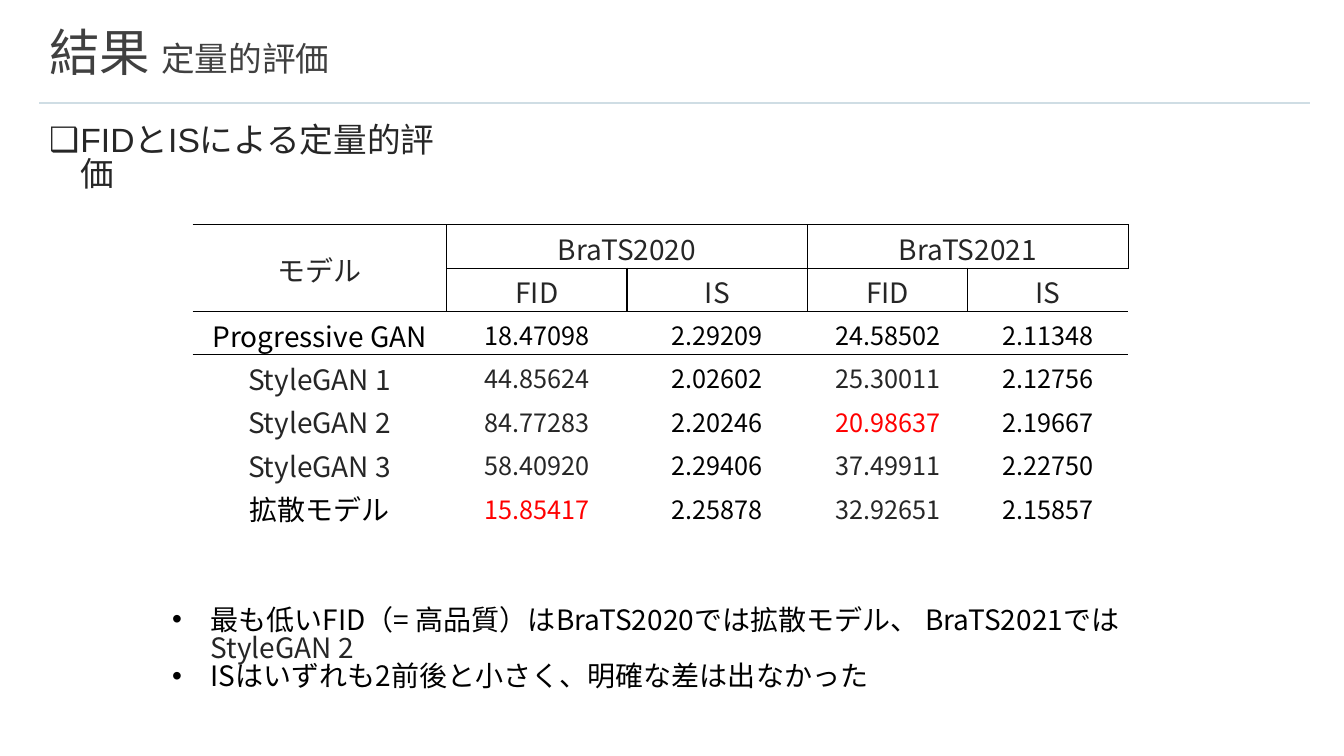
from dataclasses import dataclass
from typing import Optional

from lxml.etree import SubElement
from pptx import Presentation
from pptx.dml.color import RGBColor
from pptx.enum.shapes import MSO_CONNECTOR as Connector, MSO_SHAPE as Shape
from pptx.enum.text import MSO_ANCHOR as Anchor, MSO_AUTO_SIZE as AutoSize, PP_ALIGN as Align
from pptx.oxml.ns import qn
from pptx.util import Emu, Pt

PX = 9144
CJK = "Noto Sans CJK JP"
BLACK, DARK, TITLE, RED, WHITE, RULE = "000000", "262626", "404040", "FF0000", "FFFFFF", "CFDDE4"
NO_STYLE = "{2D5ABB26-0587-4C30-8999-92F81FD0307C}"


@dataclass(frozen=True)
class Span:
    text: str
    size: int
    color: str
    font: str = CJK


@dataclass(frozen=True)
class Para:
    spans: tuple[Span, ...]
    bullet: str = ""
    indent: int = 0


@dataclass(frozen=True)
class TextBox:
    left: int
    top: int
    width: int
    height: int
    paras: tuple[Para, ...]
    spacing: float
    wrap: bool = True
    fill: Optional[str] = None


@dataclass(frozen=True)
class Model:
    name: str
    scores: tuple[str, ...]
    name_color: str = DARK
    fid_color: str = DARK
    best: Optional[int] = None


TEXT_BOXES = (
    TextBox(39, 24, 305, 71,
            (Para((Span("結果 ", 36, TITLE), Span("定量的評価", 24, TITLE))),),
            spacing=0.88, wrap=False),
    TextBox(39, 120, 424, 50,
            (Para((Span("FIDとISによる定量的評価", 24, DARK, "Arial"),), "❑", 31),),
            spacing=0.84, fill=WHITE),
    TextBox(161, 598, 1069, 77,
            (Para((Span("最も低いFID（= 高品質）はBraTS2020では拡散モデル、 BraTS2021では", 20, BLACK),
                   Span("StyleGAN 2", 20, DARK)), "•", 38),
             Para((Span("ISはいずれも2前後と小さく、明確な差は出なかった", 20, BLACK),), "•", 38)),
            spacing=0.84),
)

MODELS = (
    Model("Progressive GAN", ("18.47098", "2.29209", "24.58502", "2.11348"), BLACK, BLACK),
    Model("StyleGAN 1", ("44.85624", "2.02602", "25.30011", "2.12756")),
    Model("StyleGAN 2", ("84.77283", "2.20246", "20.98637", "2.19667"), best=2),
    Model("StyleGAN 3", ("58.40920", "2.29406", "37.49911", "2.22750")),
    Model("拡散モデル", ("15.85417", "2.25878", "32.92651", "2.15857"), BLACK, best=0),
)
COLUMN_WIDTHS = (252, 179, 179, 159, 159)
HEADER_ROWS = 2
ROW_HEIGHT = 43


def px(length: int) -> Emu:
    return Emu(length * PX)


def rgb(value: str) -> RGBColor:
    return RGBColor.from_string(value)


def add_span(para, text: str, *, size: int, color: str, font: str = CJK) -> None:
    run = para.add_run()
    run.text = text
    run.font.size = Pt(size)
    run.font.name = font
    run.font.color.rgb = rgb(color)
    SubElement(run.font._element, qn("a:ea"), typeface=CJK)


def add_bullet(para, bullet: str, indent: int) -> None:
    properties = para._p.get_or_add_pPr()
    properties.set("marL", str(px(indent)))
    properties.set("indent", str(-px(indent)))
    SubElement(properties, qn("a:buFont"), typeface="Arial")
    SubElement(properties, qn("a:buChar"), char=bullet)


def add_text_box(page, spec_box: TextBox) -> None:
    area = [px(n) for n in (spec_box.left, spec_box.top, spec_box.width, spec_box.height)]
    if spec_box.fill:
        box = page.shapes.add_shape(Shape.RECTANGLE, *area)
        box.shadow.inherit = False
        box.fill.solid()
        box.fill.fore_color.rgb = rgb(spec_box.fill)
        box.line.fill.background()
    else:
        box = page.shapes.add_textbox(*area)
    frame = box.text_frame
    frame.word_wrap = spec_box.wrap
    frame.auto_size = AutoSize.SHAPE_TO_FIT_TEXT
    frame.vertical_anchor = Anchor.TOP
    for index, item in enumerate(spec_box.paras):
        para = frame.add_paragraph() if index else frame.paragraphs[0]
        para.alignment = Align.LEFT
        para.line_spacing = spec_box.spacing
        if item.bullet:
            add_bullet(para, item.bullet, item.indent)
        for span in item.spans:
            add_span(para, span.text, size=span.size, color=span.color, font=span.font)


def add_rule(page) -> None:
    rule = page.shapes.add_connector(Connector.STRAIGHT, px(39), px(102), px(1299), px(102))
    rule.line.color.rgb = rgb(RULE)
    rule.line.width = Pt(1.5)
    SubElement(rule._element.spPr, qn("a:effectLst"))


def border_sides(row: int, column: int) -> list[str]:
    if row > HEADER_ROWS:
        return []
    if row == HEADER_ROWS:
        return ["T"]
    left = ["L"] if column > 0 else []
    right = ["R"] if column < len(COLUMN_WIDTHS) - 1 else []
    return left + right + ["T", "B"]


def format_cell(cell, sides: list[str]) -> None:
    cell.margin_top, cell.margin_bottom = px(3), 0
    cell.margin_left = cell.margin_right = px(3)
    cell.vertical_anchor = Anchor.MIDDLE
    properties = cell._tc.get_or_add_tcPr()
    for side in sides:
        line = SubElement(properties, qn(f"a:ln{side}"), w=str(Pt(1)))
        fill = SubElement(line, qn("a:solidFill"))
        SubElement(fill, qn("a:srgbClr"), val=BLACK)
    cell.fill.background()


def set_cell(cell, text: str, *, size: int = 20, color: str = DARK) -> None:
    para = cell.text_frame.paragraphs[0]
    para.alignment = Align.CENTER
    add_span(para, text, size=size, color=color)


def add_score_table(page) -> None:
    row_count = HEADER_ROWS + len(MODELS)
    frame = page.shapes.add_table(row_count, len(COLUMN_WIDTHS), px(191), px(223),
                                  px(sum(COLUMN_WIDTHS)), px(ROW_HEIGHT * row_count))
    table = frame.table
    table.first_row = table.horz_banding = False
    table._tbl.tblPr.find(qn("a:tableStyleId")).text = NO_STYLE
    for column, width in zip(table.columns, COLUMN_WIDTHS):
        column.width = px(width)
    for row_index, row in enumerate(table.rows):
        row.height = px(ROW_HEIGHT)
        for column_index, cell in enumerate(row.cells):
            format_cell(cell, border_sides(row_index, column_index))

    table.cell(0, 0).merge(table.cell(1, 0))
    set_cell(table.cell(0, 0), "モデル")
    for column, dataset in ((1, "BraTS2020"), (3, "BraTS2021")):
        table.cell(0, column).merge(table.cell(0, column + 1))
        set_cell(table.cell(0, column), dataset)
        for offset, metric in enumerate(("FID", "IS")):
            set_cell(table.cell(1, column + offset), metric)
    for row_index, model in enumerate(MODELS, start=HEADER_ROWS):
        set_cell(table.cell(row_index, 0), model.name, color=model.name_color)
        for index, score in enumerate(model.scores):
            color = BLACK if index % 2 else model.fid_color
            set_cell(table.cell(row_index, index + 1), score, size=18,
                     color=RED if index == model.best else color)


def main() -> None:
    deck = Presentation()
    deck.slide_width, deck.slide_height = px(1333), px(750)
    page = deck.slides.add_slide(deck.slide_layouts[6])
    add_rule(page)
    for text_box in TEXT_BOXES:
        add_text_box(page, text_box)
    add_score_table(page)
    deck.save("out.pptx")


if __name__ == "__main__":
    main()
